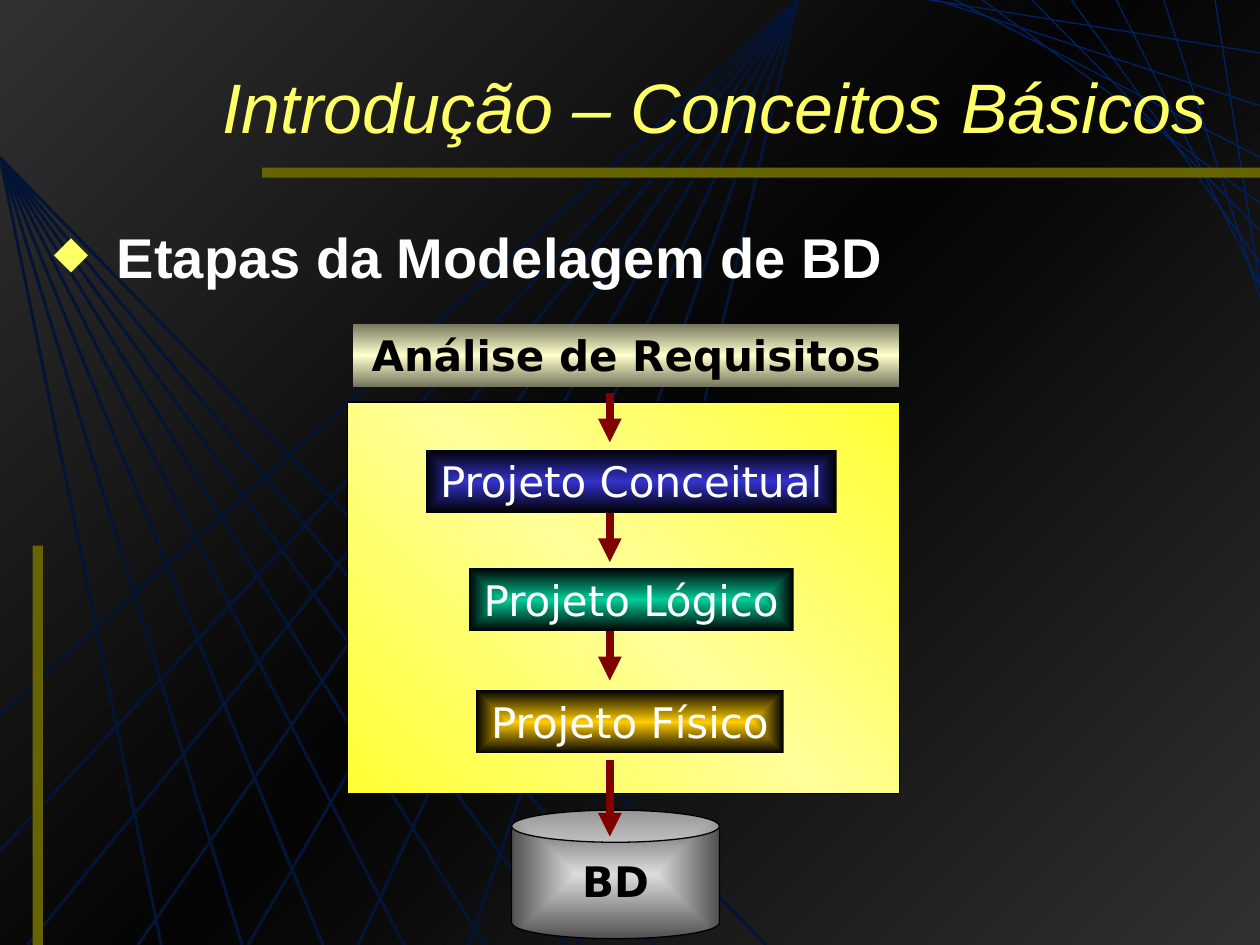
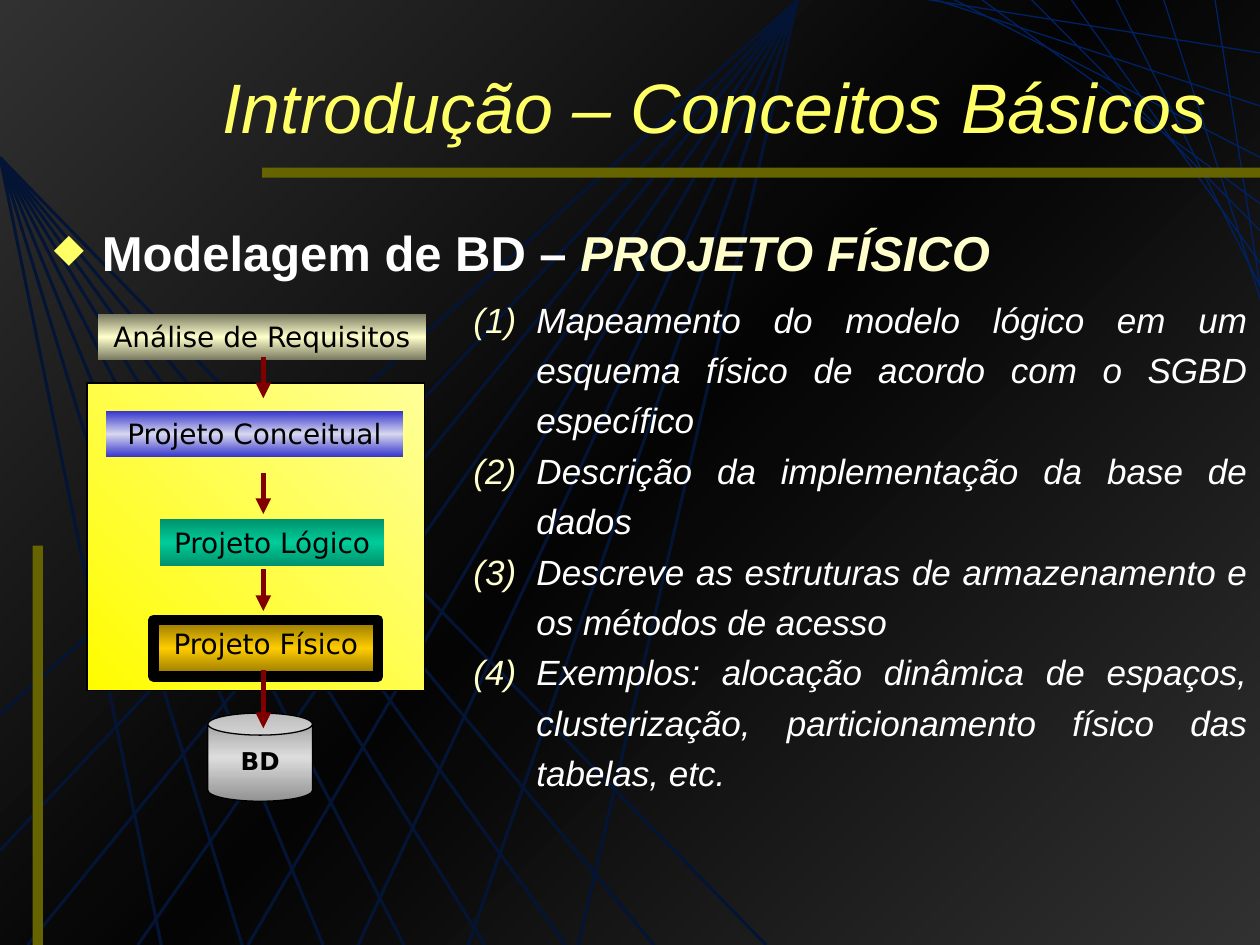
from pptx import Presentation, util as u
from pptx.dml.color import RGBColor
from pptx.enum import shapes, text
from pptx.oxml import parse_xml
from pptx.oxml.ns import nsdecls, qn

# ---- Content ----
W, H = 10, 7.5
TITLE = "Introdução – Conceitos Básicos"
COLORS = {"ray": "002164", "veil": "080808", "bar": "666400", "title": "FFFF66",
          "text": "FFFFFF", "accent": "FFFFCC", "arrow": "800000", "black": "000000"}
FONT, BOX_FONT = "Arial", "DejaVu Sans"

# Gradients: (colours at equal steps, angle); no angle means outward from the centre
GRADS = {
    "back": (["5C5C5C", "000000", "5C5C5C"], 45),
    "analysis": (["76765E", "FFFFCC", "76765E"], 90),
    "panel": (["FFFF33", "FFFF99", "FFFF33"], 315),
    "blue": (["3333CC", "000000"], None),
    "green": (["00CC99", "000000"], None),
    "gold": (["FFCC00", "000000"], None),
    "can": (["DDDDDD", "505050"], None),
    "panel_2": (["FFFC00", "FFFF99"], 315),
    "blue_2": (["3333CC", "D6D6EF", "3333CC"], 90),
    "green_2": (["00926D", "00CC99", "00926D"], 90),
    "gold_2": (["8F7200", "FFCC00", "8F7200"], 90),
    "can_2": (["929292", "DDDDDD", "929292"], 90),
}

# Steps: label, centre x, top, width, height, gradient, bold, outline in points
SLIDES = [
    {"heading": [("Etapas da Modelagem de BD", "text", False)], "size": 32, "indent": 0.5,
     "panel": (2.76, 3.19, 4.38, 3.11, "panel"),
     "steps": [("Análise de Requisitos", 4.97, 2.57, 4.33, 0.5, "analysis", True, 0),
               ("Projeto Conceitual", 5.01, 3.57, 3.26, 0.5, "blue", False, 0),
               ("Projeto Lógico", 5.01, 4.51, 2.58, 0.5, "green", False, 0),
               ("Projeto Físico", 5, 5.48, 2.44, 0.5, "gold", False, 0)],
     "step_size": 24, "step_color": "text",
     "can": (4.06, 6.43, 1.65, 1.02, "can"), "can_label": (6.74, 24),
     "axis": 4.84, "arrows": [(3.12, 3.51), (4.07, 4.46), (5.01, 5.4), (6.03, 6.64)],
     "arrow_width": 4.5, "notes": []},
    {"heading": [("Modelagem de BD – ", "text", False), ("PROJETO FÍSICO", "accent", True)],
     "size": 28, "indent": 0.38,
     "panel": (0.69, 3.04, 2.68, 2.44, "panel_2"),
     "steps": [("Análise de Requisitos", 2.08, 2.49, 2.6, 0.37, "analysis", False, 0),
               ("Projeto Conceitual", 2.02, 3.26, 2.35, 0.37, "blue_2", False, 0),
               ("Projeto Lógico", 2.16, 4.12, 1.78, 0.37, "green_2", False, 0),
               ("Projeto Físico", 2.11, 4.92, 1.78, 0.45, "gold_2", False, 6)],
     "step_size": 16, "step_color": "black",
     "can": (1.65, 5.66, 0.83, 0.7, "can_2"), "can_label": (5.87, 14),
     "axis": 2.09, "arrows": [(2.83, 3.16), (3.75, 4.08), (4.52, 4.85), (5.32, 5.78)],
     "arrow_width": 3,
     "notes": ["Mapeamento do modelo lógico em um esquema físico de acordo com o SGBD específico",
               "Descrição da implementação da base de dados",
               "Descreve as estruturas de armazenamento e os métodos de acesso",
               "Exemplos: alocação dinâmica de espaços, clusterização, "
               "particionamento físico das tabelas, etc."]},
]

# Background rays: two fans from one point each, and a net in the top right corner
FANS = [((6.33, 0), [(0, 5.67), (0, 6.75)] + [(0.22 + 0.874 * i, H) for i in range(6)]),
        ((0, 1.25), [(1.28 + 0.642 * i, H) for i in range(6)] + [(5.19, H), (6.08, H)])]
NET = [(7.26, 0.43), (7.37, 0.86), (7.54, 1.28), (7.77, 1.66), (8.17, 1.89),
       (8.49, 2.17), (8.85, 2.39), (9.23, 2.55), (9.64, 2.65)]


# ---- Helpers ----
def rgb(name):
    return RGBColor.from_string(COLORS[name])


def inches(*values):
    return [u.Inches(v) for v in values]


def gradient(fill, host, name):
    colors, angle = GRADS[name]
    fill.gradient()
    g = next(host.iter(qn("a:gradFill")))
    for child in list(g):
        g.remove(child)
    stops = "".join(f'<a:gs pos="{100000 * i // (len(colors) - 1)}"><a:srgbClr val="{c}"/></a:gs>'
                    for i, c in enumerate(colors))
    g.append(parse_xml(f'<a:gsLst {nsdecls("a")}>{stops}</a:gsLst>'))
    if angle is None:
        g.append(parse_xml(f'<a:path {nsdecls("a")} path="rect"><a:fillToRect l="50000" '
                           't="50000" r="50000" b="50000"/></a:path>'))
    else:
        g.append(parse_xml(f'<a:lin {nsdecls("a")} ang="{angle * 60000}" scaled="0"/>'))


def add_shape(s, box, color=None, grad=None, outline=0, kind=shapes.MSO_SHAPE.RECTANGLE):
    sp = s.shapes.add_shape(kind, *inches(*box))
    sp.shadow.inherit = False
    if grad:
        gradient(sp.fill, sp._element.spPr, grad)
    else:
        sp.fill.solid()
        sp.fill.fore_color.rgb = rgb(color)
    if outline:
        sp.line.color.rgb = rgb("black")
        sp.line.width = u.Pt(outline)
    else:
        sp.line.fill.background()
    return sp


def add_line(s, start, end, color, width, arrow=False):
    ln = s.shapes.add_connector(shapes.MSO_CONNECTOR.STRAIGHT, *inches(*start, *end))
    ln.line.color.rgb = rgb(color)
    ln.line.width = u.Pt(width)
    if arrow:
        ln.line._get_or_add_ln().append(parse_xml(f'<a:tailEnd {nsdecls("a")} type="triangle"/>'))
    ln._element.spPr.append(parse_xml(f'<a:effectLst {nsdecls("a")}/>'))


def add_text(s, box, wrap=True, anchor=text.MSO_ANCHOR.TOP):
    tf = s.shapes.add_textbox(*inches(*box)).text_frame
    tf.word_wrap = wrap
    tf.vertical_anchor = anchor
    return tf


def add_run(p, words, size, color, font=FONT, bold=False, italic=False):
    r = p.add_run()
    r.text = words
    f = r.font
    f.name, f.size, f.bold, f.italic = font, u.Pt(size), bold, italic
    f.color.rgb = rgb(color)


def bullet(p, indent, color, mark, scale=100):
    pPr = p._p.get_or_add_pPr()
    pPr.set("marL", str(u.Inches(indent)))
    pPr.set("indent", str(-u.Inches(indent)))
    for xml in (f'<a:buClr {{}}><a:srgbClr val="{COLORS[color]}"/></a:buClr>',
                f'<a:buSzPct {{}} val="{scale * 1000}"/>', mark):
        pPr.append(parse_xml(xml.format(nsdecls("a"))))


# ---- Parts of a slide ----
def add_frame(s):
    gradient(s.background.fill, s._element, "back")
    for apex, ends in FANS:
        for end in ends:
            add_line(s, apex, end, "ray", 1.75)
    veil = add_shape(s, (0, 0, W, H), "veil")
    clr = next(veil._element.spPr.iter(qn("a:srgbClr")))
    clr.append(parse_xml(f'<a:alpha {nsdecls("a")} val="50000"/>'))
    for x, y in NET:
        add_line(s, (10.06, y), (x, -0.02), "ray", 0.75)
    add_shape(s, (2.08, 1.33, 7.92, 0.08), "bar")
    add_shape(s, (0.26, 4.33, 0.08, 3.17), "bar")
    p = add_text(s, (1.5, 0.42, 8.17, 0.83), anchor=text.MSO_ANCHOR.MIDDLE).paragraphs[0]
    p.alignment = text.PP_ALIGN.RIGHT
    add_run(p, TITLE, 40, "title", italic=True)


def add_heading(s, d):
    p = add_text(s, (0.33, 1.72, 8.92, 0.7)).paragraphs[0]
    bullet(p, d["indent"], "title", '<a:buChar {} char="◆"/>', 80)
    for words, color, italic in d["heading"]:
        add_run(p, words, d["size"], color, bold=True, italic=italic)


def add_diagram(s, d):
    *box, grad = d["panel"]
    add_shape(s, box, grad=grad, outline=0.75)
    for label, cx, top, w, h, grad, bold, outline in d["steps"]:
        tf = add_shape(s, (cx - w / 2, top, w, h), grad=grad, outline=outline).text_frame
        tf.word_wrap = False
        tf.vertical_anchor = text.MSO_ANCHOR.TOP
        p = tf.paragraphs[0]
        p.alignment = text.PP_ALIGN.CENTER
        add_run(p, label, d["step_size"], "black" if bold else d["step_color"], BOX_FONT, bold)
    # Database
    *box, grad = d["can"]
    add_shape(s, box, grad=grad, outline=0.75, kind=shapes.MSO_SHAPE.CAN)
    top, size = d["can_label"]
    p = add_text(s, (box[0], top, box[2], size / 48), wrap=False).paragraphs[0]
    p.alignment = text.PP_ALIGN.CENTER
    add_run(p, "BD", size, "black", BOX_FONT, bold=True)
    # Flow
    for y1, y2 in d["arrows"]:
        add_line(s, (d["axis"], y1), (d["axis"], y2), "arrow", d["arrow_width"], arrow=True)


def add_notes(s, notes):
    tf = add_text(s, (3.66, 2.25, 6.34, 4.54))
    for i, words in enumerate(notes):
        p = tf.add_paragraph() if i else tf.paragraphs[0]
        p.alignment = text.PP_ALIGN.JUSTIFY
        p.line_spacing = 1.2
        bullet(p, 0.5, "accent", '<a:buAutoNum {} type="arabicParenBoth"/>')
        add_run(p, words, 20, "text", italic=True)


def main():
    prs = Presentation()
    prs.slide_width, prs.slide_height = inches(W, H)
    for d in SLIDES:
        s = prs.slides.add_slide(prs.slide_layouts[6])
        add_frame(s)
        add_heading(s, d)
        add_diagram(s, d)
        if d["notes"]:
            add_notes(s, d["notes"])
    prs.save("out.pptx")


if __name__ == "__main__":
    main()
